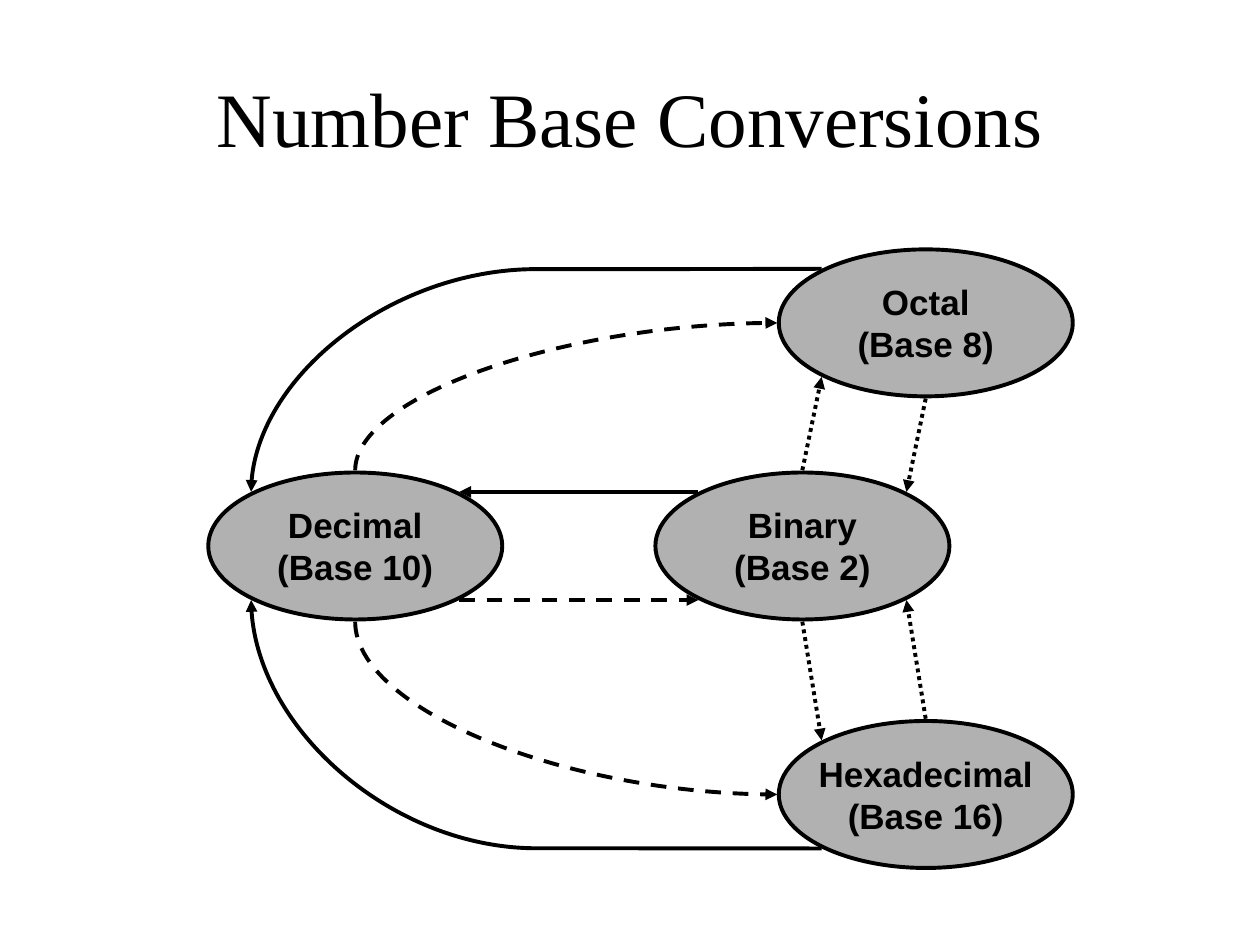
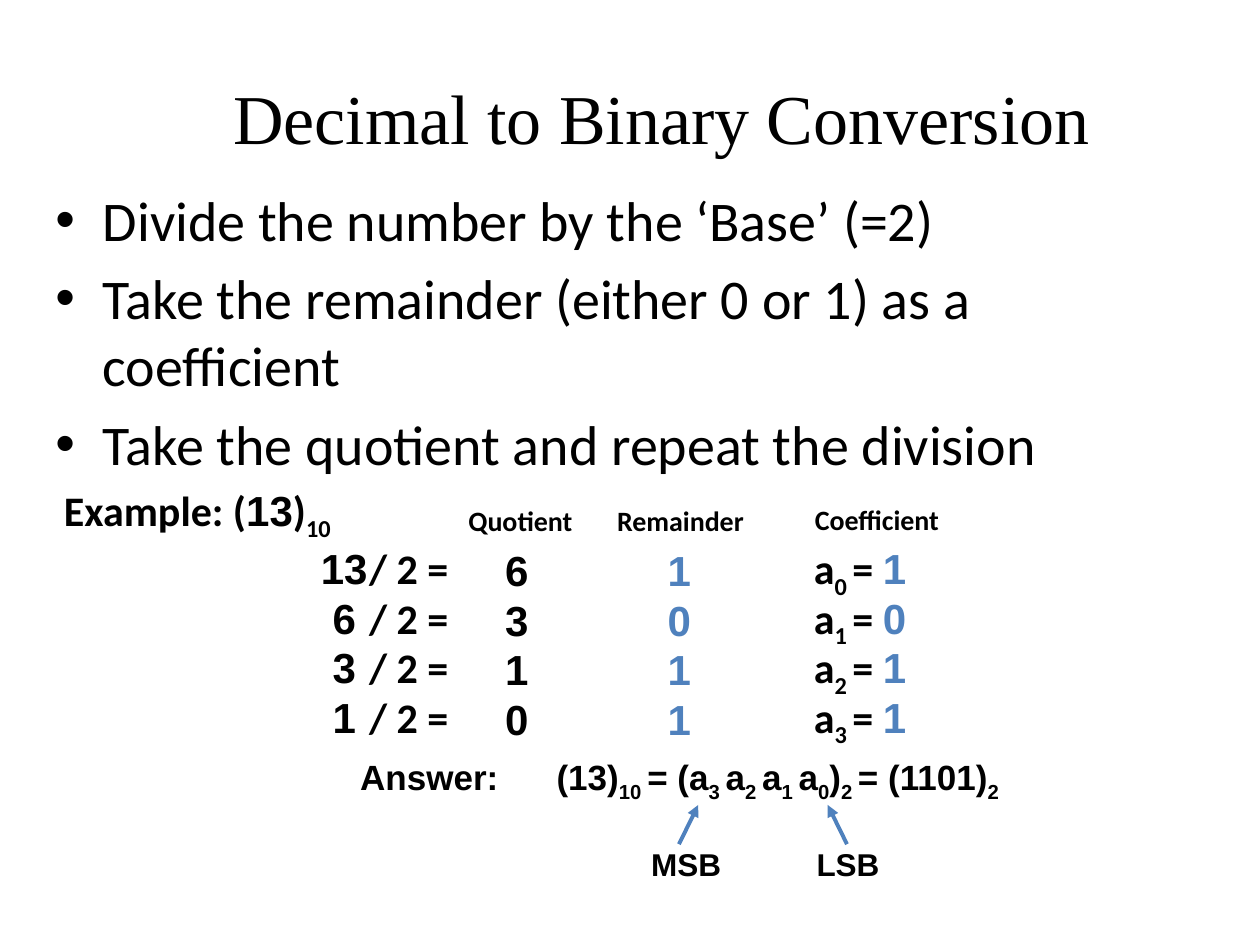
"""Build two slides on converting numbers between bases."""
import lxml.etree
import pptx
import pptx.dml.color
import pptx.enum.dml
import pptx.enum.shapes
import pptx.enum.text
import pptx.oxml.ns
import pptx.util

Pt = pptx.util.Pt
qn = pptx.oxml.ns.qn
rgb = pptx.dml.color.RGBColor.from_string
LEFT = pptx.enum.text.PP_ALIGN.LEFT
CENTER = pptx.enum.text.PP_ALIGN.CENTER
DASH = pptx.enum.dml.MSO_LINE.DASH
DOTS = pptx.enum.dml.MSO_LINE.ROUND_DOT
BLACK, GREY, BLUE = "000000", "B1B1B1", "4F81BD"
SANS, HUMANIST, SERIF = "Arial", "Calibri", "Times New Roman"
LINE_WIDTH = 2.25


def add_text(slide, box, size, runs, align=LEFT):
    """Add a bold line of (text, font, colour, is_subscript) runs and return its frame."""
    frame = slide.shapes.add_textbox(*map(Pt, box)).text_frame
    frame.word_wrap = True
    line = frame.paragraphs[0]
    line.alignment = align
    for text, font, colour, is_subscript in runs:
        run = line.add_run()
        run.text = text
        run.font.name, run.font.size, run.font.bold = font, Pt(size), True
        run.font.color.rgb = rgb(colour)
        if is_subscript:
            run.font._element.set("baseline", "-25000")
    return frame


def add_arrow(slide, start, end, colour, dash=None, curve=None, bend=None):
    """Add a straight arrow, or a curved one that arrives or leaves vertically."""
    (x1, y1), (x2, y2) = start, end
    kind = pptx.enum.shapes.MSO_CONNECTOR.STRAIGHT
    ends = x1, y1, x2, y2
    if curve:
        kind = pptx.enum.shapes.MSO_CONNECTOR.CURVE
        mid_x, mid_y = (x1 + x2) / 2, (y1 + y2) / 2
        half_w, half_h = abs(y2 - y1) / 2, abs(x2 - x1) / 2
        ends = mid_x - half_w, mid_y - half_h, mid_x + half_w, mid_y + half_h
    arrow = slide.shapes.add_connector(kind, *map(Pt, ends))
    arrow.line.color.rgb = rgb(colour)
    arrow.line.width = Pt(LINE_WIDTH)
    if dash:
        arrow.line.dash_style = dash
    properties = arrow._element.spPr
    lxml.etree.SubElement(properties.find(qn("a:ln")), qn("a:tailEnd"), type="triangle")
    lxml.etree.SubElement(properties, qn("a:effectLst"))
    if curve:
        frame = properties.find(qn("a:xfrm"))
        frame.set("rot", str(270 * 60000))
        frame.set("flipH", str(int(y2 > y1)))
        frame.set("flipV", str(int(x2 < x1)))
        geometry = properties.find(qn("a:prstGeom"))
        geometry.set("prst", curve)
        if bend:
            lxml.etree.SubElement(geometry.find(qn("a:avLst")), qn("a:gd"),
                                  name="adj1", fmla=f"val {bend}")


deck = pptx.Presentation()
deck.slide_width, deck.slide_height = Pt(720), Pt(540)
slides = []
for heading, layout, width, size in [("Number Base Conversions", 5, 648, 44),
                                     ("Decimal to Binary Conversion", 1, 684, 40)]:
    slide = deck.slides.add_slide(deck.slide_layouts[layout])
    title = slide.shapes.title
    title.left, title.top, title.width, title.height = map(Pt, (36, 21.6, width, 90))
    title.text_frame.text = heading
    title.text_frame.vertical_anchor = pptx.enum.text.MSO_ANCHOR.MIDDLE
    title_line = title.text_frame.paragraphs[0]
    title_line.alignment = CENTER
    title_font = title_line.runs[0].font
    title_font.name, title_font.size = SERIF, Pt(size)
    title_font.color.rgb = rgb(BLACK)
    slides.append(slide)
conversions, division = slides

BASE_W, BASE_H = 168, 84
bases = {"Decimal": (10, 119, 270), "Octal": (8, 445, 142.5),
         "Binary": (2, 374.5, 270), "Hexadecimal": (16, 445, 412)}
sites = {"N": (0.5, -0.015), "S": (0.5, 1.015), "W": (-0.005, 0.5),
         "NW": (0.146, 0.132), "NE": (0.854, 0.132),
         "SW": (0.146, 0.868), "SE": (0.854, 0.868)}
anchors = {}
for name, (base, left, top) in bases.items():
    oval = conversions.shapes.add_shape(pptx.enum.shapes.MSO_SHAPE.OVAL,
                                        Pt(left), Pt(top), Pt(BASE_W), Pt(BASE_H))
    oval.shadow.inherit = False
    oval.fill.solid()
    oval.fill.fore_color.rgb = rgb(GREY)
    oval.line.color.rgb = rgb(BLACK)
    oval.line.width = Pt(LINE_WIDTH)
    oval.text_frame.text = f"{name}\n(Base {base})"
    oval.text_frame.word_wrap = False
    oval.text_frame.vertical_anchor = pptx.enum.text.MSO_ANCHOR.MIDDLE
    for line in oval.text_frame.paragraphs:
        line.alignment = CENTER
        font = line.runs[0].font
        font.name, font.size, font.bold = SANS, Pt(20), True
        font.color.rgb = rgb(BLACK)
    for site, (across, down) in sites.items():
        anchors[name, site] = left + across * BASE_W, top + down * BASE_H

for start, end, dash, curve, bend in [
        (("Decimal", "SE"), ("Binary", "SW"), DASH, None, None),
        (("Binary", "NW"), ("Decimal", "NE"), None, None, None),
        (("Binary", "N"), ("Octal", "SW"), DOTS, None, None),
        (("Octal", "S"), ("Binary", "NE"), DOTS, None, None),
        (("Hexadecimal", "N"), ("Binary", "SE"), DOTS, None, None),
        (("Binary", "S"), ("Hexadecimal", "NW"), DOTS, None, None),
        (("Octal", "NW"), ("Decimal", "NW"), None, "curvedConnector3", 200),
        (("Decimal", "N"), ("Octal", "W"), DASH, "curvedConnector2", None),
        (("Decimal", "S"), ("Hexadecimal", "W"), DASH, "curvedConnector2", None),
        (("Hexadecimal", "SW"), ("Decimal", "SW"), None, "curvedConnector3", 100)]:
    add_arrow(conversions, anchors[start], anchors[end], BLACK, dash, curve, bend)

steps = division.placeholders[1]
steps.left, steps.top, steps.width, steps.height = map(Pt, (24.5, 102.2, 674.6, 230.4))
steps.text_frame.text = "\n".join(["Divide the number by the ‘Base’ (=2)",
                                   "Take the remainder (either 0 or 1) as a coefficient",
                                   "Take the quotient and repeat the division"])
steps.text_frame.paragraphs[0].space_before = Pt(0)
for step in steps.text_frame.paragraphs:
    font = step.runs[0].font
    font.name, font.size = HUMANIST, Pt(32)
    font.color.rgb = rgb(BLACK)

add_text(division, (29.5, 273.6, 180, 36), 24,
         [("Example: (", HUMANIST, BLACK, False), ("13", SANS, BLACK, False),
          (")", HUMANIST, BLACK, False), ("10", HUMANIST, BLACK, True)])
for heading, left, top in [("Quotient", 260.6, 284.4), ("Remainder", 345.6, 284.4),
                           ("Coefficient", 458.6, 283.7)]:
    add_text(division, (left, top, 100, 26.6), 16, [(heading, HUMANIST, BLACK, False)])

ROW_TOP, ROW_PITCH, ROW_H = 306.7, 28.3, 36
SANS_DROP = 1.1
dividend = 13
for row in range(4):
    top = ROW_TOP + row * ROW_PITCH
    quotient, remainder = divmod(dividend, 2)
    add_text(division, (175.7, top, 42, ROW_H), 24,
             [(str(dividend), SANS, BLACK, False)], CENTER)
    add_text(division, (203.8, top, 70, ROW_H), 24, [("/ 2 =", HUMANIST, BLACK, False)])
    add_text(division, (274.9, top + SANS_DROP, 41, ROW_H), 24,
             [(str(quotient), SANS, BLACK, False)], CENTER)
    add_text(division, (374.4, top + SANS_DROP, 34, ROW_H), 24,
             [(str(remainder), SANS, BLUE, False)])
    add_text(division, (458, top, 80, ROW_H), 24,
             [("a", HUMANIST, BLACK, False), (f"{row} ", HUMANIST, BLACK, True),
              ("= ", HUMANIST, BLACK, False), (str(remainder), SANS, BLUE, False)])
    dividend = quotient

add_text(division, (198.7, 428.4, 100, 31.7), 20, [("Answer:", SANS, BLACK, False)])
answer = ["(13)", "10 ", "= (a", "3 ", "a", "2 ", "a", "1 ", "a", "0", ")", "2 ",
          "= (1101)", "2"]
add_text(division, (311, 428.4, 285, 31.7), 20,
         [(part, SANS, BLACK, index % 2 == 1) for index, part in enumerate(answer)])
for bit, left, tail_x, head_x in [("MSB", 365, 388, 399), ("LSB", 459.5, 484, 473)]:
    add_arrow(division, (tail_x, 482.4), (head_x, 460), BLUE)
    label = add_text(division, (left, 482.4, 70, 26), 18, [(bit, SANS, BLACK, False)])
    label.vertical_anchor = pptx.enum.text.MSO_ANCHOR.MIDDLE
    label.paragraphs[0].line_spacing = 0.87

deck.save("out.pptx")
